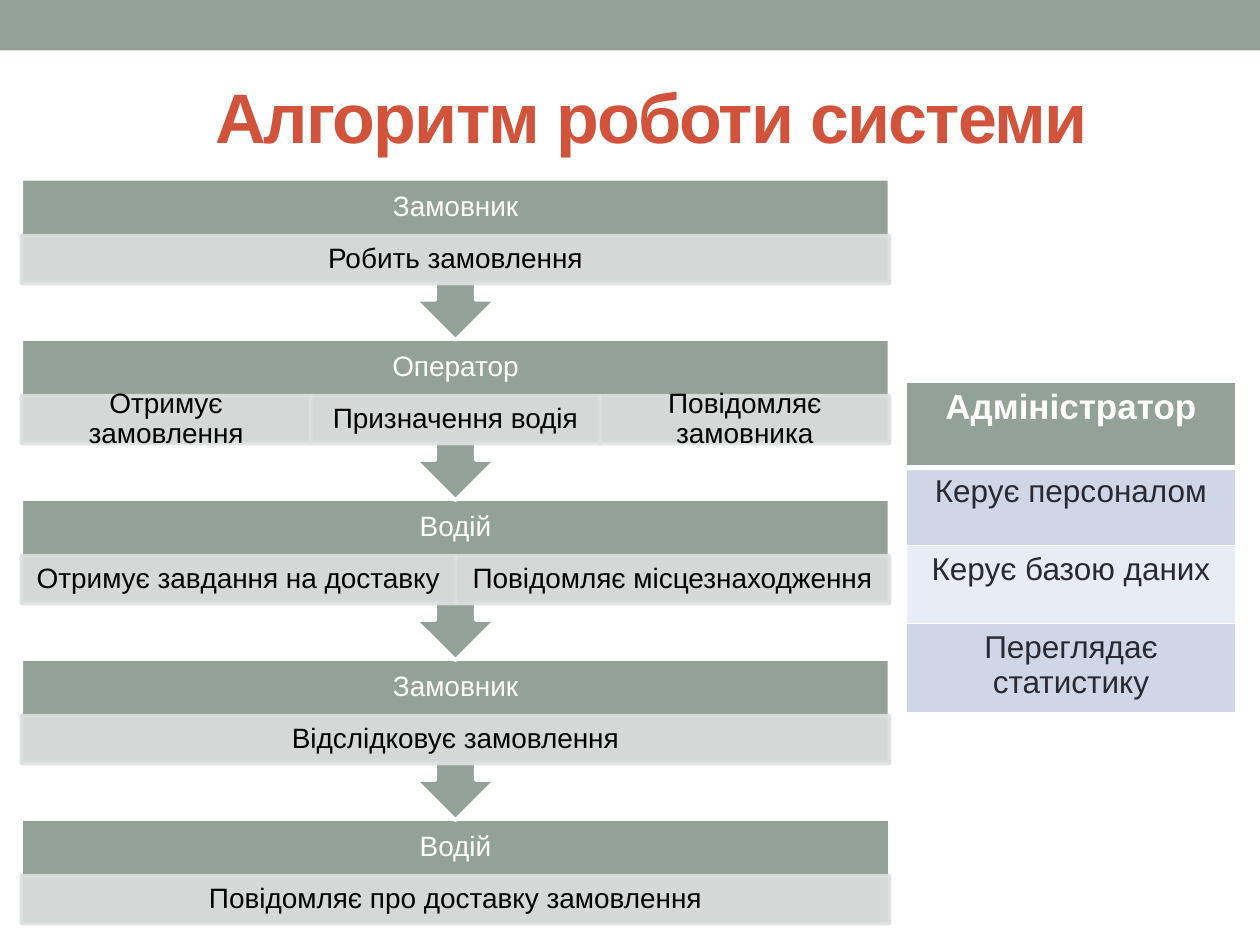
"""Build the slide that shows the order workflow and the administrator's duties."""
import pptx
import pptx.dml.color
import pptx.enum.shapes
import pptx.enum.text
import pptx.oxml
import pptx.oxml.ns
import pptx.util

Inches = pptx.util.Inches
Pt = pptx.util.Pt
RGBColor = pptx.dml.color.RGBColor
SHAPE = pptx.enum.shapes.MSO_SHAPE
MIDDLE = pptx.enum.text.MSO_ANCHOR.MIDDLE

SAGE = RGBColor(0x93, 0xA2, 0x99)
MIST = RGBColor(0xDC, 0xE0, 0xDE)
WHITE = RGBColor(0xFF, 0xFF, 0xFF)
BLACK = RGBColor(0x00, 0x00, 0x00)
INK = RGBColor(0x29, 0x29, 0x34)
BRICK = RGBColor(0xD2, 0x53, 0x3C)
BAND_DARK = RGBColor(0xCF, 0xD7, 0xE7)
BAND_LIGHT = RGBColor(0xE8, 0xEC, 0xF4)

FLOW_LEFT, FLOW_TOP, FLOW_WIDTH = 0.17, 1.42, 6.89
STEP_PITCH, CALLOUT_HEIGHT, LAST_HEIGHT = 1.27, 1.28, 0.83
HEADER_HEIGHT, ACTION_HEIGHT = 0.45, 0.38

STEPS = [
    ("Замовник", ["Робить замовлення"]),
    ("Оператор", ["Отримує замовлення", "Призначення водія", "Повідомляє замовника"]),
    ("Водій", ["Отримує завдання на доставку", "Повідомляє місцезнаходження"]),
    ("Замовник", ["Відслідковує замовлення"]),
    ("Водій", ["Повідомляє про доставку замовлення"]),
]
DUTIES = [
    ("Адміністратор", 0.68, SAGE),
    ("Керує персоналом", 0.62, BAND_DARK),
    ("Керує базою даних", 0.62, BAND_LIGHT),
    ("Переглядає статистику", 0.71, BAND_DARK),
]


def write_text(frame, text, *, size, color, bold=False, line_spacing=None,
               anchor=None, insets=None, tracking=None):
    """Put one centred, formatted paragraph into a text frame."""
    frame.word_wrap = True
    if anchor is not None:
        frame.vertical_anchor = anchor
    if insets:
        frame.margin_left = frame.margin_right = Inches(insets[0])
        frame.margin_top = frame.margin_bottom = Inches(insets[1])
    para = frame.paragraphs[0]
    para.alignment = pptx.enum.text.PP_ALIGN.CENTER
    if line_spacing:
        para.line_spacing = line_spacing
    span = para.add_run()
    span.text = text
    span.font.name = "Arial"
    span.font.size = Pt(size)
    span.font.bold = bold
    span.font.color.rgb = color
    if tracking:
        span.font._element.set("spc", str(tracking))


def add_block(page, kind, left, top, width, height, fill, line=None):
    """Add a flat preset shape with an optional outline."""
    block = page.shapes.add_shape(
        kind, Inches(left), Inches(top), Inches(width), Inches(height))
    block.shadow.inherit = False
    block.fill.solid()
    block.fill.fore_color.rgb = fill
    if line is None:
        block.line.fill.background()
    else:
        block.line.color.rgb = line
        block.line.width = Pt(2.08)
    return block


def set_opacity(block, percent):
    """Make the fill and outline of a shape partly transparent."""
    for color in block._element.spPr.iter(pptx.oxml.ns.qn("a:srgbClr")):
        alpha = color.makeelement(pptx.oxml.ns.qn("a:alpha"), {"val": str(percent * 1000)})
        color.append(alpha)


def add_step(page, index, role, actions):
    """Add one workflow step: role header, its actions and the arrow below."""
    top = FLOW_TOP + index * STEP_PITCH
    if index == len(STEPS) - 1:
        add_block(page, SHAPE.RECTANGLE, FLOW_LEFT, top, FLOW_WIDTH, LAST_HEIGHT, SAGE, WHITE)
    else:
        callout = add_block(page, SHAPE.UP_ARROW_CALLOUT, FLOW_LEFT, top,
                            FLOW_WIDTH, CALLOUT_HEIGHT, SAGE, WHITE)
        callout.rotation = 180
    header = page.shapes.add_textbox(
        Inches(FLOW_LEFT), Inches(top), Inches(FLOW_WIDTH), Inches(HEADER_HEIGHT))
    write_text(header.text_frame, role, size=16, color=WHITE, line_spacing=0.9,
               anchor=MIDDLE, insets=(0.12, 0.12))
    width = FLOW_WIDTH / len(actions)
    for column, action in enumerate(actions):
        box = add_block(page, SHAPE.RECTANGLE, FLOW_LEFT + column * width,
                        top + HEADER_HEIGHT, width, ACTION_HEIGHT, MIST, MIST)
        set_opacity(box, 90)
        write_text(box.text_frame, action, size=16, color=BLACK, line_spacing=0.9,
                   anchor=MIDDLE, insets=(0.12, 0.02))


def set_borders(cell, **widths):
    """Draw white cell borders with widths in points keyed by side."""
    properties = cell._tc.get_or_add_tcPr()
    for side, width in widths.items():
        properties.append(pptx.oxml.parse_xml(
            f'<a:ln{side} {pptx.oxml.ns.nsdecls("a")} w="{Pt(width)}">'
            f'<a:solidFill><a:srgbClr val="{WHITE}"/></a:solidFill></a:ln{side}>'))


def add_duties(page):
    """Add the table of the administrator's duties."""
    height = sum(row_height for _, row_height, _ in DUTIES)
    table = page.shapes.add_table(
        len(DUTIES), 1, Inches(7.19), Inches(3.03), Inches(2.62), Inches(height)).table
    for index, (text, row_height, fill) in enumerate(DUTIES):
        heading = index == 0
        table.rows[index].height = Inches(row_height)
        cell = table.cell(index, 0)
        set_borders(cell, L=1, R=1, T=3 if index == 1 else 1, B=3 if heading else 1)
        cell.fill.solid()
        cell.fill.fore_color.rgb = fill
        write_text(cell.text_frame, text, size=20 if heading else 18,
                   color=WHITE if heading else INK, bold=heading)


def add_title(page, text):
    """Place and format the slide title."""
    title = page.shapes.title
    title.left, title.top = Inches(0.67), Inches(0.29)
    title.width, title.height = Inches(9), Inches(1.25)
    title.text_frame.auto_size = pptx.enum.text.MSO_AUTO_SIZE.NONE
    write_text(title.text_frame, text, size=40, color=BRICK, bold=True,
               anchor=MIDDLE, insets=(0.1, 0.05), tracking=-100)


def main():
    """Build and save the deck."""
    deck = pptx.Presentation()
    deck.slide_width, deck.slide_height = Inches(10), Inches(7.5)
    page = deck.slides.add_slide(deck.slide_layouts[5])
    add_block(page, SHAPE.RECTANGLE, 0, 0, 10, 0.4, SAGE)
    add_title(page, "Алгоритм роботи системи")
    for index, (role, actions) in reversed(list(enumerate(STEPS))):
        add_step(page, index, role, actions)
    add_duties(page)
    deck.save("out.pptx")


if __name__ == "__main__":
    main()
